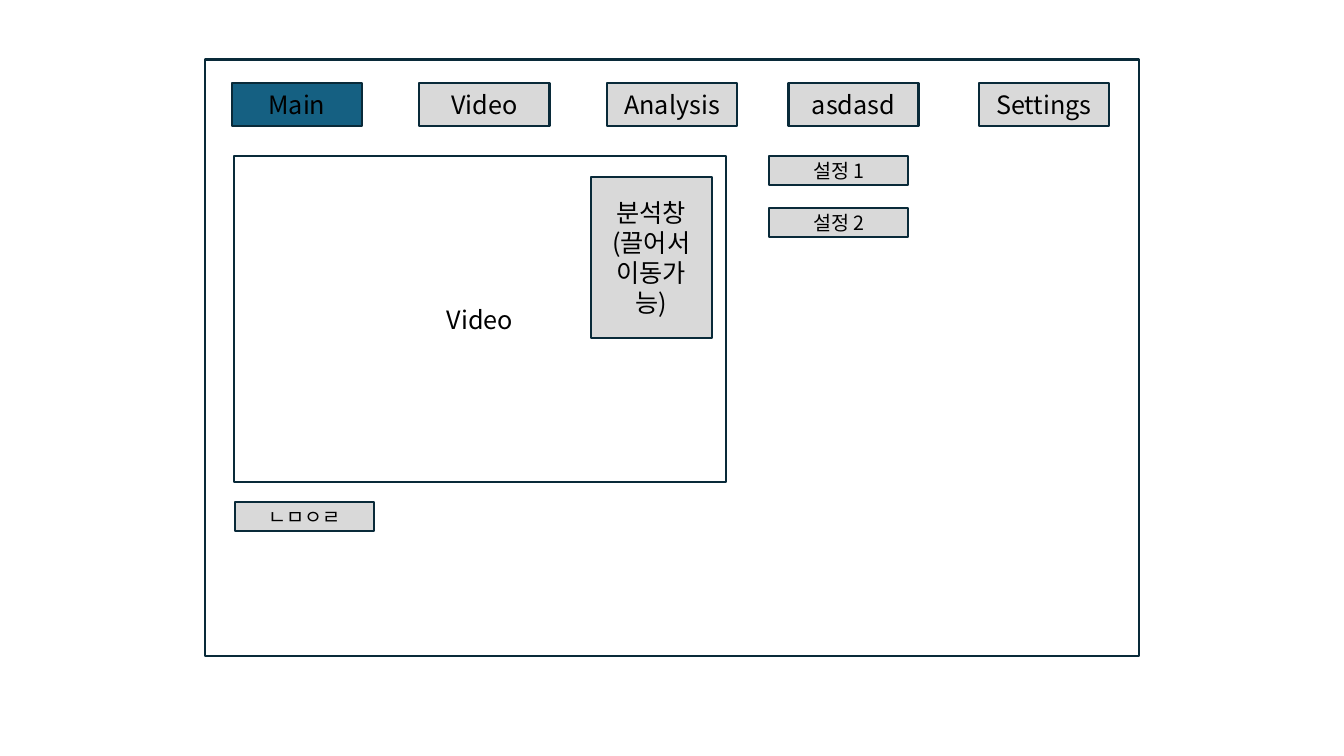
from lxml import etree
from pptx import Presentation
from pptx.dml.color import RGBColor
from pptx.enum import shapes, text
from pptx.oxml.ns import qn
from pptx.util import Inches, Pt

FONT = "Noto Sans CJK KR"
WHITE = RGBColor(0xFF, 0xFF, 0xFF)
GRAY = RGBColor(0xD9, 0xD9, 0xD9)
TEAL = RGBColor(0x15, 0x60, 0x82)
NAVY = RGBColor(0x09, 0x2A, 0x39)
BLACK = RGBColor(0, 0, 0)

prs = Presentation()
prs.slide_width, prs.slide_height = Inches(13.33), Inches(7.5)
s = prs.slides.add_slide(prs.slide_layouts[6])


def add_box(left, top, width, height, label="", fill=GRAY, size=18):
    """Add an outlined rectangle with a centred label; fill None leaves it hollow."""
    sp = s.shapes.add_shape(shapes.MSO_SHAPE.RECTANGLE, Inches(left), Inches(top),
                            Inches(width), Inches(height))
    sp.shadow.inherit = False
    if fill is None:
        sp.fill.background()
    else:
        sp.fill.solid()
        sp.fill.fore_color.rgb = fill
    sp.line.color.rgb = NAVY
    sp.line.width = Pt(1.5)
    tf = sp.text_frame
    tf.word_wrap = True
    tf.vertical_anchor = text.MSO_ANCHOR.MIDDLE
    tf.text = label
    p = tf.paragraphs[0]
    p.alignment = text.PP_ALIGN.CENTER
    for r in p.runs:
        r.font.size = Pt(size)
        r.font.name = FONT
        r.font.color.rgb = BLACK
        # Korean glyphs take the East Asian typeface
        etree.SubElement(r.font._element, qn("a:ea"), typeface=FONT)


# Application window
add_box(2.03, 0.59, 9.27, 5.92, fill=WHITE)

# Navigation tabs, the first one active
tabs = [("Main", 2.3), ("Video", 4.16), ("Analysis", 6.02), ("asdasd", 7.82), ("Settings", 9.71)]
for label, left in tabs:
    add_box(left, 0.82, 1.29, 0.43, label, fill=TEAL if label == "Main" else GRAY)

# Video area with the movable analysis panel
add_box(2.32, 1.55, 4.88, 3.23, "Video", fill=None)
add_box(5.86, 1.76, 1.2, 1.59, "분석창\v(끌어서 이동가능)")

# Small buttons
for label, left, top in [("ㄴㅁㅇㄹ", 2.33, 4.98), ("설정 1", 7.63, 1.55), ("설정 2", 7.63, 2.06)]:
    add_box(left, top, 1.38, 0.29, label, size=14)

prs.save("out.pptx")
